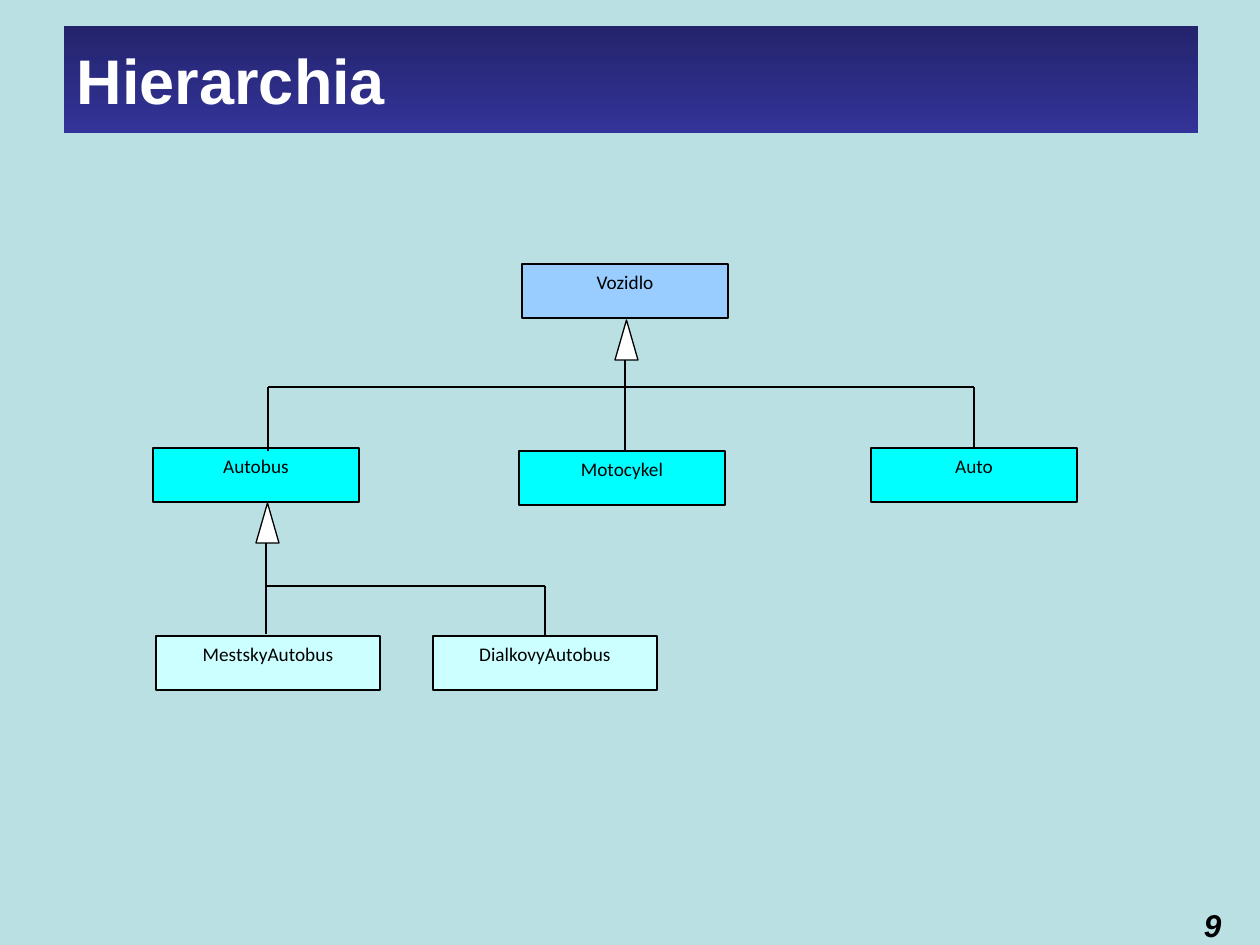
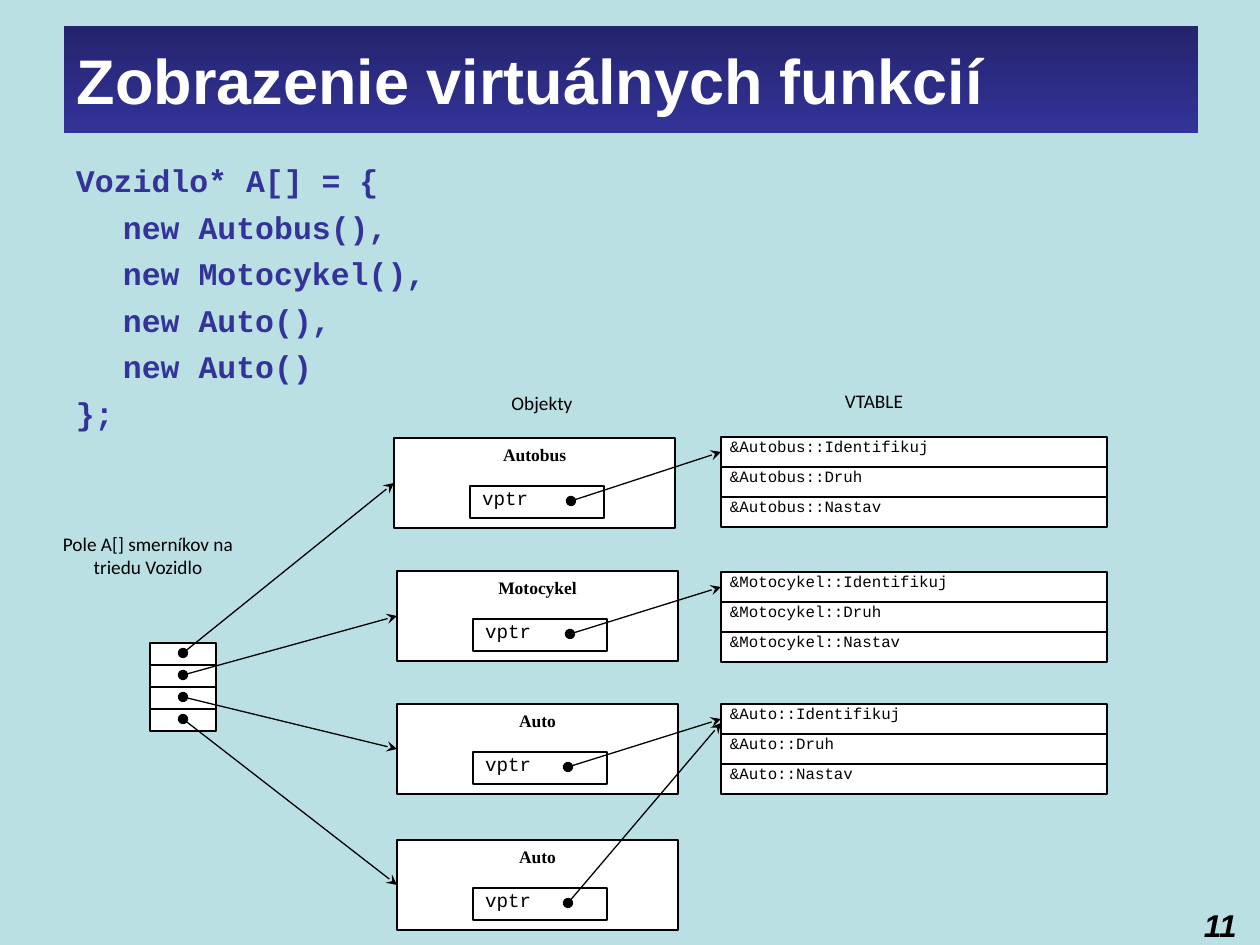
"""Build two slides on class hierarchy and virtual function tables."""
from lxml.etree import SubElement
from pptx import Presentation
from pptx.dml.color import RGBColor
from pptx.enum.shapes import MSO_CONNECTOR, MSO_SHAPE
from pptx.enum.text import MSO_ANCHOR, PP_ALIGN
from pptx.oxml.ns import qn
from pptx.util import Emu, Pt

PALE_TEAL = RGBColor(0xBB, 0xE0, 0xE3)
NAVY = RGBColor(0x24, 0x24, 0x6D)
INDIGO = RGBColor(0x33, 0x33, 0x99)
SKY = RGBColor(0x99, 0xCC, 0xFF)
CYAN = RGBColor(0x00, 0xFF, 0xFF)
ICE = RGBColor(0xCC, 0xFF, 0xFF)
WHITE = RGBColor(0xFF, 0xFF, 0xFF)
BLACK = RGBColor(0x00, 0x00, 0x00)

SANS = "Calibri"
MONO = "Courier New"
SERIF = "Times New Roman"
HEADING = "Arial"
TOP, LEFT = 0, 1
PAD = (13, 6, 13, 6)
FLAT_PAD = (13, 0, 13, 0)


def px(n):
    return Emu(round(n * 914400 / 126))


class Deck:
    """Shared style and the slide being built."""

    def __init__(self):
        self.prs = Presentation()
        self.prs.slide_width, self.prs.slide_height = px(1260), px(945)
        fill = self.prs.slide_master.background.fill
        fill.solid()
        fill.fore_color.rgb = PALE_TEAL

    def slide(self, title, number):
        self.s = self.prs.slides.add_slide(self.prs.slide_layouts[5])
        sp = self.s.shapes.title
        sp.left, sp.top, sp.width, sp.height = map(px, (64, 26, 1134, 107))
        sp.fill.gradient()
        sp.fill.gradient_angle = 270
        for stop, color in zip(sp.fill.gradient_stops, (NAVY, INDIGO)):
            stop.color.rgb = color
        self.set_text(sp, [title], HEADING, 36, color=WHITE, bold=True,
                      anchor=MSO_ANCHOR.MIDDLE)
        self.text(1191, 900, 67, 39, [str(number)], HEADING, 18,
                  bold=True, italic=True)

    def set_text(self, sp, lines, font, size, color=BLACK, bold=False,
                 italic=False, align=PP_ALIGN.LEFT, pad=PAD,
                 anchor=MSO_ANCHOR.TOP):
        tf = sp.text_frame
        tf.word_wrap = True
        tf.vertical_anchor = anchor
        (tf.margin_left, tf.margin_top,
         tf.margin_right, tf.margin_bottom) = map(px, pad)
        tf.text = "\n".join(lines)
        for p in tf.paragraphs:
            p.alignment = align
            p.font.name, p.font.size = font, Pt(size)
            p.font.bold, p.font.italic = bold, italic
            p.font.color.rgb = color

    def text(self, x, y, w, h, lines, font=SANS, size=11, **style):
        sp = self.s.shapes.add_textbox(*map(px, (x, y, w, h)))
        self.set_text(sp, lines, font, size, **style)
        return sp

    def code(self, x, y, w, h, lines):
        """Place code lines, indenting all but the first and last."""
        sp = self.text(x, y, w, h, lines, MONO, 18, color=INDIGO, bold=True)
        for p in sp.text_frame.paragraphs:
            p.space_before = Pt(5)
        for p in sp.text_frame.paragraphs[1:-1]:
            p._p.get_or_add_pPr().set("marL", str(px(47)))

    def box(self, x, y, w, h, label="", fill=WHITE, font=SANS, size=11,
            kind=MSO_SHAPE.RECTANGLE, **style):
        sp = self.s.shapes.add_shape(kind, *map(px, (x, y, w, h)))
        sp.shadow.inherit = False
        sp.fill.solid()
        sp.fill.fore_color.rgb = fill
        sp.line.color.rgb = BLACK
        sp.line.width = Pt(0.75)
        if label:
            self.set_text(sp, [label], font, size, **style)
        return sp

    def line(self, x1, y1, x2, y2, target=None, side=TOP):
        c = self.s.shapes.add_connector(
            MSO_CONNECTOR.STRAIGHT, *map(px, (x1, y1, x2, y2)))
        c.line.color.rgb = BLACK
        c.line.width = Pt(0.75)
        SubElement(c._element.spPr, qn("a:effectLst"))
        if target is not None:
            c.end_connect(target, side)
        return c

    def pointer(self, x1, y1, x2, y2, target=None):
        c = self.line(x1, y1, x2, y2, target, LEFT)
        ln = c._element.spPr.find(qn("a:ln"))
        SubElement(ln, qn("a:headEnd"), type="oval")
        SubElement(ln, qn("a:tailEnd"), type="stealth")

    def class_box(self, x, y, w, name, fill):
        return self.box(x, y, w, 54, name, fill, align=PP_ALIGN.CENTER)

    def inherit_mark(self, x, y, bottom):
        """Draw the trunk up to a parent class and its hollow arrowhead."""
        self.line(x, bottom, x, y + 32)
        self.box(x - 10, y, 23, 40, kind=MSO_SHAPE.ISOSCELES_TRIANGLE)


def hierarchy(deck):
    deck.slide("Hierarchia", 9)
    deck.class_box(522, 264, 206, "Vozidlo", SKY)
    deck.class_box(519, 451, 206, "Motocykel", CYAN)
    deck.class_box(153, 448, 206, "Autobus", CYAN)
    auto = deck.class_box(871, 448, 206, "Auto", CYAN)
    deck.class_box(156, 636, 224, "MestskyAutobus", ICE)
    dialkovy = deck.class_box(433, 636, 224, "DialkovyAutobus", ICE)

    deck.inherit_mark(625, 320, 451)
    deck.line(268, 387, 974, 387)
    deck.line(268, 387, 268, 451)
    deck.line(974, 387, 974, 448, auto)

    deck.inherit_mark(266, 503, 634)
    deck.line(266, 586, 545, 586)
    deck.line(545, 586, 545, 636, dialkovy)


def virtual_functions(deck):
    deck.slide("Zobrazenie virtuálnych funkcií", 11)
    deck.code(63, 155, 541, 287, [
        "Vozidlo* A[] = {", "new Autobus(),", "new Motocykel(),",
        "new Auto(),", "new Auto()", "};"])
    deck.text(438, 391, 208, 35, ["Objekty"],
              align=PP_ALIGN.CENTER, pad=FLAT_PAD)
    deck.text(44, 532, 208, 98, ["Pole A[] smerníkov na triedu Vozidlo"],
              align=PP_ALIGN.CENTER, pad=FLAT_PAD)
    deck.text(832, 383, 154, 43, ["VTABLE"])

    cell_tops = [643 + 22 * i for i in range(4)]
    for y in cell_tops:
        deck.box(150, y, 66, 22)

    objects = [("Autobus", 394, 438), ("Motocykel", 397, 571),
               ("Auto", 397, 704), ("Auto", 397, 840)]
    object_boxes = []
    for name, x, y in objects:
        object_boxes.append(deck.box(
            x, y, 281, 90, name, font=SERIF, size=10, bold=True,
            align=PP_ALIGN.CENTER))
        deck.box(x + 76, y + 48, 134, 32, "vptr", font=MONO,
                 pad=(12, 0, 0, 0))

    first_rows = []
    for name, y in (("Autobus", 437), ("Motocykel", 572), ("Auto", 704)):
        rows = [deck.box(721, y + 30 * i, 386, 30, f"&{name}::{method}",
                         font=MONO, size=9, pad=(9, 0, 0, 0))
                for i, method in enumerate(("Identifikuj", "Druh", "Nastav"))]
        first_rows.append(rows[0])

    for top, (_, x, y), sp in zip(cell_tops, objects, object_boxes):
        deck.pointer(183, top + 10, x, y + 45, sp)
    dots = [(x, y + 63) for x, (_, _, y) in zip((571, 570, 568, 568), objects)]
    for (x, y), row in zip(dots, first_rows):
        deck.pointer(x, y, 721, y - 51, row)
    deck.pointer(*dots[-1], 721, 723)


def main():
    deck = Deck()
    hierarchy(deck)
    virtual_functions(deck)
    deck.prs.save("out.pptx")


if __name__ == "__main__":
    main()
